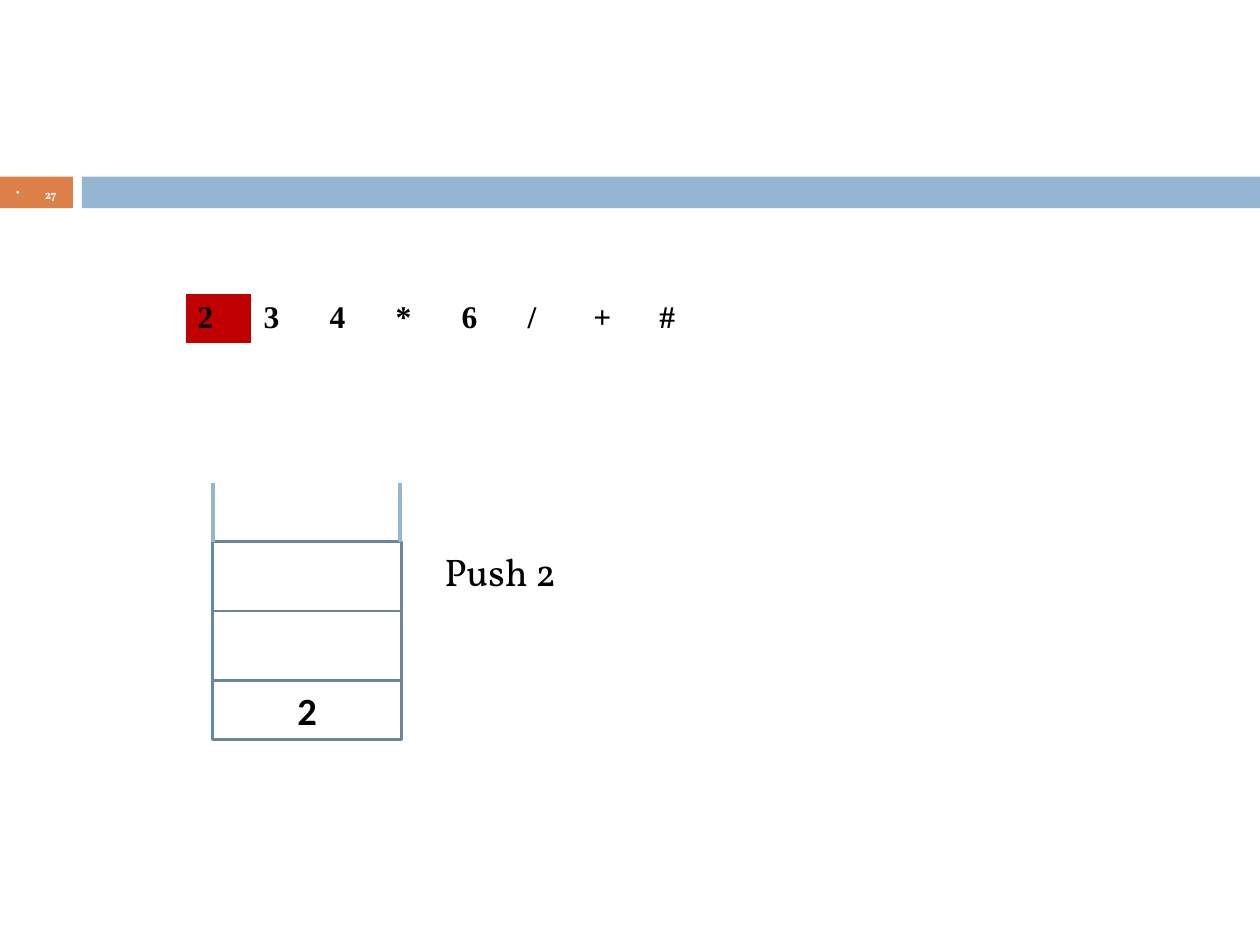
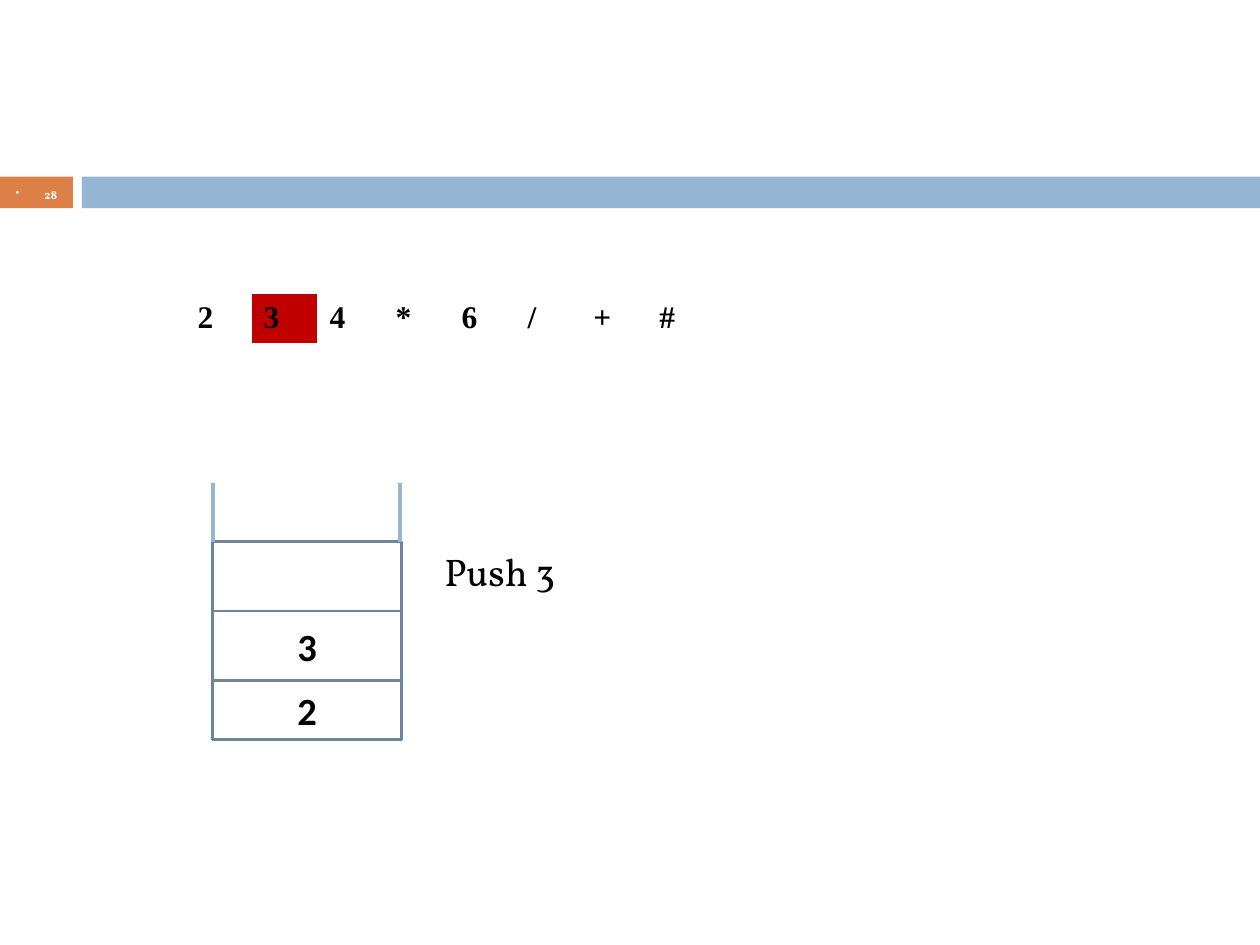
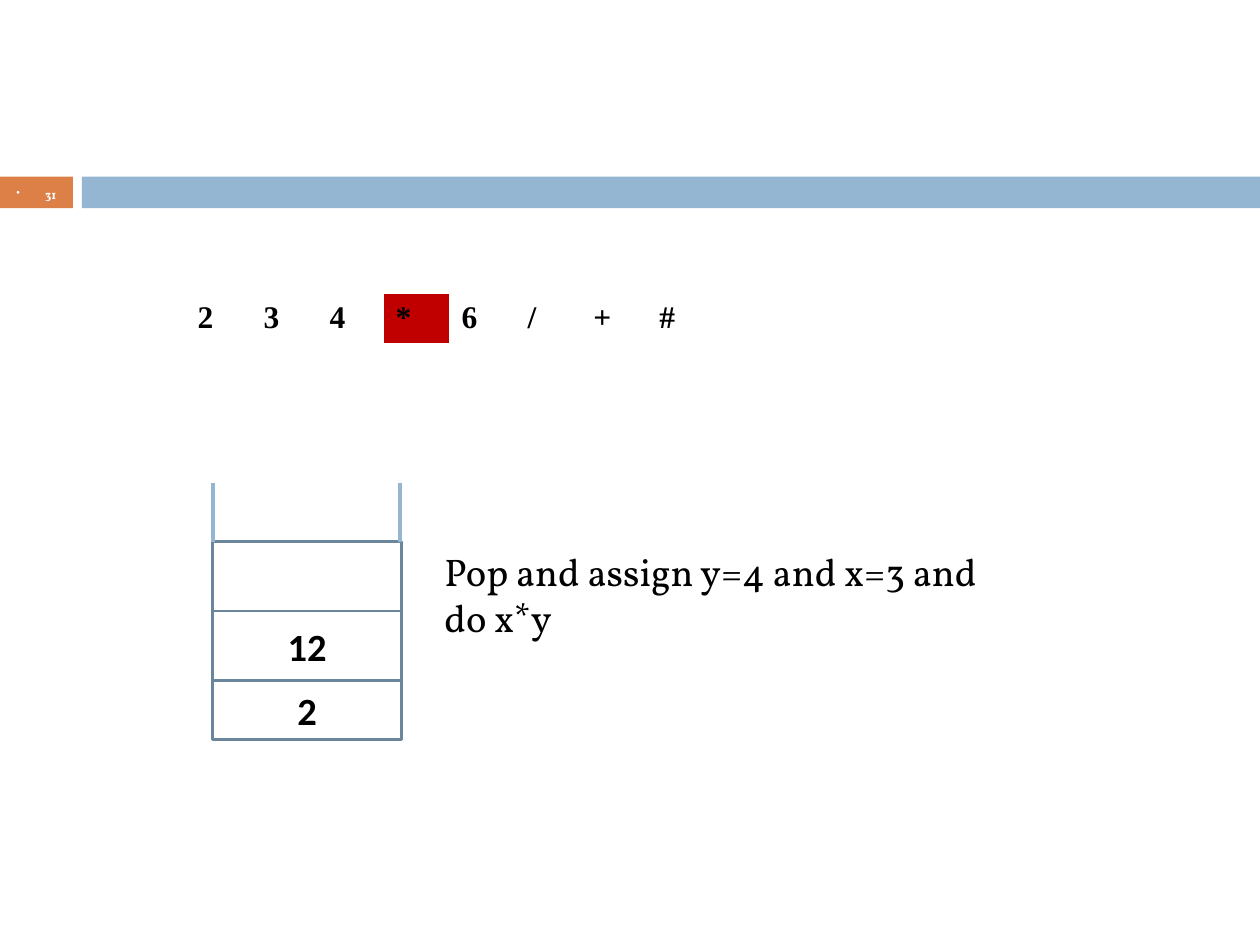
from dataclasses import dataclass

from lxml import etree
from pptx import Presentation
from pptx.dml.color import RGBColor
from pptx.enum.shapes import MSO_CONNECTOR, MSO_SHAPE
from pptx.enum.text import MSO_ANCHOR, MSO_AUTO_SIZE, PP_ALIGN
from pptx.oxml.ns import qn
from pptx.util import Cm, Pt

RECTANGLE = MSO_SHAPE.RECTANGLE
STRAIGHT = MSO_CONNECTOR.STRAIGHT
MIDDLE = MSO_ANCHOR.MIDDLE
CENTER = PP_ALIGN.CENTER
GROW = MSO_AUTO_SIZE.SHAPE_TO_FIT_TEXT

# Content: one postfix expression, one evaluation step per slide
TOKENS = ["2", "3", "4", "*", "6", "/", "+", "#"]
STEPS = [
    {"number": "27", "token": 0, "stack": ["2"], "action": "Push 2"},
    {"number": "28", "token": 1, "stack": ["2", "3"], "action": "Push 3"},
    {"number": "31", "token": 3, "stack": ["2", "12"],
     "action": "Pop and assign y=4 and x=3 and do x*y"},
]


@dataclass(frozen=True)
class Theme:
    orange: str = "DD8047"
    blue: str = "94B6D2"
    outline: str = "6B859A"
    red: str = "C00000"
    white: str = "FFFFFF"
    black: str = "000000"
    body_font: str = "Vollkorn"
    token_font: str = "Times New Roman"
    stack_font: str = "Calibri"
    number_size: float = 7
    token_size: float = 18
    body_size: float = 22


THEME = Theme()

# Layout in centimetres
SLIDE_WIDTH, SLIDE_HEIGHT = 25.4, 19.05
BAND_TOP, BAND_HEIGHT = 3.56, 0.64
NUMBER_WIDTH, BAND_LEFT = 1.47, 1.65
NUMBER_INDENT = 0.58
TOKEN_LEFT, TOKEN_TOP, TOKEN_WIDTH, TOKEN_HEIGHT = 3.73, 5.92, 1.33, 1.02
STACK_LEFT, STACK_WIDTH, STACK_BOTTOM = 4.29, 3.8, 14.91
CELL_HEIGHTS = [1.19, 1.4, 1.4]  # from the bottom up
WALL_HEIGHT = 1.19
ACTION_LEFT, ACTION_WIDTH, ACTION_HEIGHT = 8.71, 11.4, 2.13
BORDERS = {"a:lnL": 0.45, "a:lnR": 0.45, "a:lnT": 0.45, "a:lnB": 1.47}


def color(value):
    return RGBColor.from_string(value)


def style(paragraph, font, size, ink=THEME.black, bold=False):
    paragraph.font.name = font
    paragraph.font.size = Pt(size)
    paragraph.font.bold = bold
    paragraph.font.color.rgb = color(ink)


def add_box(slide, left, top, width, height, fill, outline=None):
    shape = slide.shapes.add_shape(RECTANGLE, Cm(left), Cm(top), Cm(width), Cm(height))
    shape.shadow.inherit = False
    shape.fill.solid()
    shape.fill.fore_color.rgb = color(fill)
    if outline:
        shape.line.color.rgb = color(outline)
        shape.line.width = Pt(1.5)
    else:
        shape.line.fill.background()
    return shape


def add_bullet(paragraph, ink, percent, indent):
    properties = paragraph._p.get_or_add_pPr()
    properties.set("marL", str(Cm(indent)))
    properties.set("indent", str(-Cm(indent)))
    bullet_color = etree.SubElement(properties, qn("a:buClr"))
    etree.SubElement(bullet_color, qn("a:srgbClr"), val=ink)
    etree.SubElement(properties, qn("a:buSzPct"), val=str(percent * 1000))
    etree.SubElement(properties, qn("a:buChar"), char="•")


def add_band(slide, number):
    add_box(slide, 0, BAND_TOP, NUMBER_WIDTH, BAND_HEIGHT, THEME.orange)
    add_box(slide, BAND_LEFT, BAND_TOP, SLIDE_WIDTH - BAND_LEFT, BAND_HEIGHT, THEME.blue)
    label = slide.shapes.add_textbox(0, Cm(BAND_TOP - 0.03), Cm(NUMBER_WIDTH), Cm(0.69))
    frame = label.text_frame
    frame.word_wrap = True
    frame.vertical_anchor = MIDDLE
    paragraph = frame.paragraphs[0]
    paragraph.text = number
    add_bullet(paragraph, THEME.white, 85, NUMBER_INDENT)
    paragraph.alignment = CENTER
    paragraph.line_spacing = 1.3
    style(paragraph, THEME.body_font, THEME.number_size, THEME.white, bold=True)


def add_borders(cell):
    properties = cell._tc.get_or_add_tcPr()
    for side, width in BORDERS.items():
        line = etree.SubElement(properties, qn(side), w=str(Pt(width)))
        fill = etree.SubElement(line, qn("a:solidFill"))
        etree.SubElement(fill, qn("a:srgbClr"), val=THEME.white)


def add_tokens(slide, current):
    table = slide.shapes.add_table(
        1, len(TOKENS), Cm(TOKEN_LEFT), Cm(TOKEN_TOP),
        Cm(TOKEN_WIDTH * len(TOKENS)), Cm(TOKEN_HEIGHT)).table
    table.first_row = False
    table.horz_banding = False
    for index, token in enumerate(TOKENS):
        cell = table.cell(0, index)
        add_borders(cell)
        cell.fill.solid()
        cell.fill.fore_color.rgb = color(THEME.red if index == current else THEME.white)
        cell.text = token
        style(cell.text_frame.paragraphs[0], THEME.token_font, THEME.token_size, bold=True)


def add_wall(slide, left, top):
    wall = slide.shapes.add_connector(
        STRAIGHT, Cm(left), Cm(top - WALL_HEIGHT), Cm(left), Cm(top))
    wall.line.color.rgb = color(THEME.blue)
    wall.line.width = Pt(2.5)
    etree.SubElement(wall._element.spPr, qn("a:effectLst"))


def add_stack(slide, values):
    """Draw the stack and return the top of its highest cell."""
    top = STACK_BOTTOM
    for index, height in enumerate(CELL_HEIGHTS):
        top -= height
        box = add_box(slide, STACK_LEFT, top, STACK_WIDTH, height,
                      THEME.white, THEME.outline)
        if index < len(values):
            box.text_frame.vertical_anchor = MIDDLE
            paragraph = box.text_frame.paragraphs[0]
            paragraph.text = values[index]
            paragraph.alignment = CENTER
            style(paragraph, THEME.stack_font, THEME.body_size, bold=True)
    for left in (STACK_LEFT, STACK_LEFT + STACK_WIDTH - 0.03):
        add_wall(slide, left, top)
    return top


def add_action(slide, text, top):
    box = slide.shapes.add_textbox(
        Cm(ACTION_LEFT), Cm(top), Cm(ACTION_WIDTH), Cm(ACTION_HEIGHT))
    box.text_frame.word_wrap = True
    box.text_frame.auto_size = GROW
    paragraph = box.text_frame.paragraphs[0]
    paragraph.text = text
    style(paragraph, THEME.body_font, THEME.body_size)


def main():
    presentation = Presentation()
    presentation.slide_width = Cm(SLIDE_WIDTH)
    presentation.slide_height = Cm(SLIDE_HEIGHT)
    blank_layout = presentation.slide_layouts[6]
    for step in STEPS:
        slide = presentation.slides.add_slide(blank_layout)
        add_band(slide, step["number"])
        add_tokens(slide, step["token"])
        stack_top = add_stack(slide, step["stack"])
        add_action(slide, step["action"], stack_top)
    presentation.save("out.pptx")


if __name__ == "__main__":
    main()
